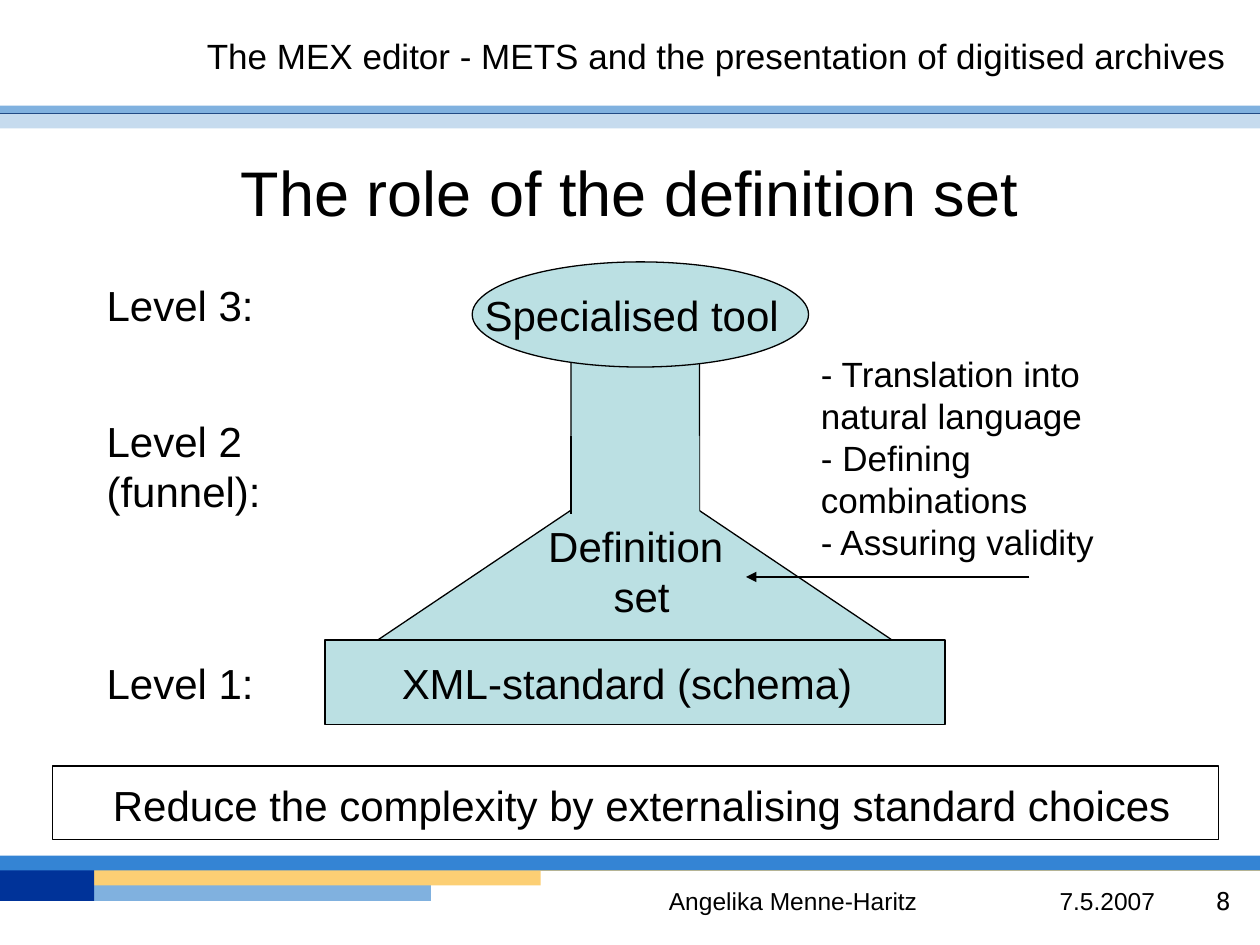
"""Build the slide on the role of the definition set."""
from lxml import etree
from pptx import Presentation
from pptx import util as u
from pptx.dml import color
from pptx.enum import shapes, text
from pptx.oxml import ns

BLACK, TEAL = "000000", "BBE0E3"
LEFT, CENTER, RIGHT = text.PP_ALIGN.LEFT, text.PP_ALIGN.CENTER, text.PP_ALIGN.RIGHT
kinds = shapes.MSO_SHAPE
tint = color.RGBColor.from_string


def paint(part, fill=None, line=None):
    """Set fill and outline and switch the shadow off."""
    if fill:
        part.fill.solid()
        part.fill.fore_color.rgb = tint(fill)
    if line:
        part.line.color.rgb = tint(line)
        part.line.width = u.Pt(0.75)
    else:
        part.line.fill.background()
    etree.SubElement(part._element.spPr, ns.qn("a:effectLst"))


def write(place, lines, size, align=LEFT):
    """Add a text box with one paragraph per line."""
    box = slide.shapes.add_textbox(*map(u.Cm, place))
    frame = box.text_frame
    frame.word_wrap = True
    for index, line in enumerate(lines):
        paragraph = frame.add_paragraph() if index else frame.paragraphs[0]
        paragraph.alignment = align
        run = paragraph.add_run()
        run.text = line
        run.font.size = u.Pt(size)
        run.font.name = "Arial"
        run.font.color.rgb = tint(BLACK)
    return box


deck = Presentation()
deck.slide_width, deck.slide_height = u.Cm(25.4), u.Cm(19.05)
slide = deck.slides.add_slide(deck.slide_layouts[6])

bands = [
    (0, 17.53, 8.69, 0.63, "80B1DF"),
    (0, 2.29, 25.4, 0.3, "C6DBEE"),
    (0, 17.55, 25.4, 0, "FCCF74"),
    (0, 2.29, 25.4, 0, "143C78"),
    (1.9, 17.55, 9, 0.3, "FCCF74"),
    (0, 2.13, 25.4, 0.15, "80B1DF"),
    (0, 17.35, 1.9, 0.81, "003399"),
    (0, 17.25, 25.4, 0.3, "3484D4"),
]
for left, top, width, height, shade in bands:
    if height:
        band = slide.shapes.add_shape(
            kinds.RECTANGLE, u.Cm(left), u.Cm(top), u.Cm(width), u.Cm(height))
        paint(band, fill=shade)
    else:
        rule = slide.shapes.add_connector(
            shapes.MSO_CONNECTOR.STRAIGHT, u.Cm(left), u.Cm(top), u.Cm(left + width), u.Cm(top))
        paint(rule, line=shade)

write((13.13, 17.73, 5.72, 0.86), ["Angelika Menne-Haritz"], 14, CENTER)
date = write((19.79, 17.73, 5.28, 0.86), ["\t7.5.2007\t"], 14).text_frame.paragraphs[0]
tabs = etree.SubElement(date._p.get_or_add_pPr(), ns.qn("a:tabLst"))
for stop in (1.32, 4.47):
    etree.SubElement(tabs, ns.qn("a:tab"), pos=str(u.Cm(stop)), algn="l")
number = date.add_run()
number.text = "8"
number.font.size = u.Pt(14)
number.font.name = "DejaVu Sans Mono"
number.font.color.rgb = tint(BLACK)

header = write((4.01, 0.43, 20.96, 1.27),
               ["The MEX editor - METS and the presentation of digitised archives"], 20, RIGHT)
header.text_frame.vertical_anchor = text.MSO_ANCHOR.MIDDLE
header.text_frame.margin_top, header.text_frame.margin_bottom = u.Cm(0.1), 0
header.text_frame.margin_left = 0

write((1.9, 2.97, 21.59, 1.7), ["The role of the definition set"], 36, CENTER)
summary = write((1.06, 15.44, 23.5, 1.48),
                ["Reduce the complexity by externalising standard choices"], 24, CENTER)
summary.text_frame.margin_left = u.Cm(0.5)
summary.text_frame.margin_top = u.Cm(0.28)
paint(summary, line=BLACK)

funnel = [
    (kinds.CAN, 11.51, 6.55, 2.59, 4.45, BLACK),
    (kinds.ISOSCELES_TRIANGLE, 7.62, 9.42, 10.36, 3.48, BLACK),
    (kinds.RECTANGLE, 11.51, 8.79, 2.59, 2.54, None),
    (kinds.RECTANGLE, 6.55, 12.9, 12.5, 1.7, BLACK),
    (kinds.OVAL, 9.52, 5.28, 6.78, 2.12, BLACK),
]
for kind, left, top, width, height, outline in funnel:
    part = slide.shapes.add_shape(kind, u.Cm(left), u.Cm(top), u.Cm(width), u.Cm(height))
    paint(part, TEAL, outline)

neck_edge = slide.shapes.add_connector(
    shapes.MSO_CONNECTOR.STRAIGHT, u.Cm(11.51), u.Cm(10.36), u.Cm(11.51), u.Cm(8.79))
paint(neck_edge, line=BLACK)

labels = [
    ((10.7, 10.36, 4.47, 2.29), ["Definition ", "set"], CENTER),
    ((1.9, 5.51, 3.8, 1.27), ["Level 3:"], LEFT),
    ((1.9, 8.25, 3.8, 2.29), ["Level 2", "(funnel):"], LEFT),
    ((1.9, 13.13, 3.8, 1.27), ["Level 1:"], LEFT),
    ((9.52, 5.72, 6.75, 1.27), ["Specialised tool"], LEFT),
    ((7.85, 13.13, 9.9, 1.27), ["XML-standard (schema)"], LEFT),
]
for place, lines, align in labels:
    write(place, lines, 24, align)

write((16.3, 6.98, 6.83, 4.5),
      ["- Translation into", "natural language", "- Defining", "combinations",
       "- Assuring validity"], 20)

pointer = slide.shapes.add_connector(
    shapes.MSO_CONNECTOR.STRAIGHT, u.Cm(20.75), u.Cm(11.63), u.Cm(15.04), u.Cm(11.63))
paint(pointer, line=BLACK)
etree.SubElement(pointer.line._get_or_add_ln(), ns.qn("a:tailEnd"), type="triangle")

deck.save("out.pptx")
